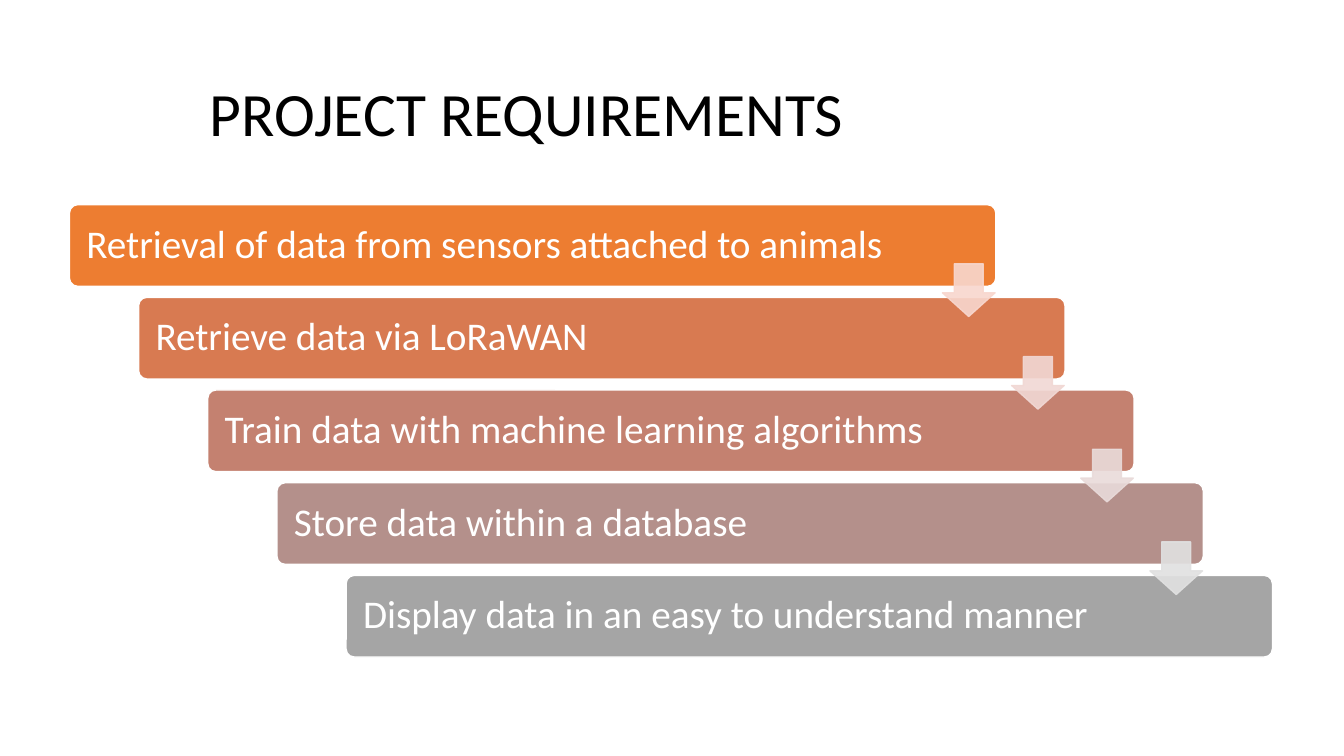
"""Build the project requirements slide: a staircase of steps joined by arrows."""
import pptx
import pptx.dml.color
import pptx.enum.shapes
import pptx.enum.text
import pptx.oxml
import pptx.oxml.ns
import pptx.util

Pt = pptx.util.Pt
RGB = pptx.dml.color.RGBColor
Kind = pptx.enum.shapes.MSO_SHAPE
Text = pptx.enum.text

BLACK = RGB(0x00, 0x00, 0x00)
WHITE = RGB(0xFF, 0xFF, 0xFF)
ORANGE = RGB(0xED, 0x7D, 0x31)
RUST = RGB(0xD8, 0x7A, 0x51)
ROSE = RGB(0xC4, 0x81, 0x70)
MAUVE = RGB(0xB4, 0x90, 0x8B)
GRAY = RGB(0xA5, 0xA5, 0xA5)
PEACH = RGB(0xF8, 0xD7, 0xCE)
BLUSH = RGB(0xF1, 0xD8, 0xD4)
SHELL = RGB(0xE9, 0xDB, 0xDA)
SILVER = RGB(0xE1, 0xE1, 0xE1)

STEPS = [
    ("Retrieval of data from sensors attached to animals", ORANGE),
    ("Retrieve data via LoRaWAN", RUST),
    ("Train data with machine learning algorithms", ROSE),
    ("Store data within a database", MAUVE),
    ("Display data in an easy to understand manner", GRAY),
]
ARROWS = [PEACH, BLUSH, SHELL, SILVER]
SHIFT, DROP = 49.4, 66.2


def apply(item, values):
    for name, value in values.items():
        setattr(item, name, value)


class Deck:
    font = "Calibri"
    frame = {
        "word_wrap": True,
        "auto_size": Text.MSO_AUTO_SIZE.NONE,
        "vertical_anchor": Text.MSO_ANCHOR.MIDDLE,
    }
    para = {"alignment": Text.PP_ALIGN.LEFT, "line_spacing": 0.9}

    def __init__(self, wide, high):
        self.file = pptx.Presentation()
        apply(self.file, {"slide_width": Pt(wide), "slide_height": Pt(high)})
        self.slide = self.file.slides.add_slide(self.file.slide_layouts[5])

    def label(self, shape, words, size, color, inset):
        frame = shape.text_frame
        frame.text = words
        apply(frame, self.frame)
        apply(frame, {"margin_left": Pt(inset), "margin_right": Pt(inset)})
        line = frame.paragraphs[0]
        apply(line, self.para)
        apply(line.font, {"name": self.font, "size": Pt(size), "bold": False})
        line.font.color.rgb = color

    def title(self, words, left, top, wide, high):
        shape = self.slide.shapes.title
        apply(shape, {"left": Pt(left), "top": Pt(top),
                      "width": Pt(wide), "height": Pt(high)})
        self.label(shape, words, 44, BLACK, 7.2)

    def block(self, kind, box, fill, edge, bends):
        shape = self.slide.shapes.add_shape(kind, *map(Pt, box))
        shape.shadow.inherit = False
        shape.fill.solid()
        shape.fill.fore_color.rgb = fill
        shape.line.color.rgb = edge
        shape.line.width = Pt(1)
        for i, bend in enumerate(bends):
            shape.adjustments[i] = bend
        return shape

    def bar(self, words, left, top, fill):
        box = (left, top, 661.7, 58.3)
        shape = self.block(Kind.ROUNDED_RECTANGLE, box, fill, WHITE, [0.1])
        self.label(shape, words, 28, WHITE, 10.4)

    def arrow(self, left, top, fill):
        box = (left, top, 37.6, 37.6)
        shape = self.block(Kind.DOWN_ARROW, box, fill, fill, [0.55, 0.45])
        for color in shape.element.spPr.iter(pptx.oxml.ns.qn("a:srgbClr")):
            alpha = pptx.oxml.parse_xml(
                f'<a:alpha {pptx.oxml.ns.nsdecls("a")} val="90000"/>')
            color.append(alpha)


def main():
    deck = Deck(960, 540)
    deck.title("PROJECT REQUIREMENTS", 142.6, 41, 778.3, 84.2)
    for i, (words, fill) in enumerate(STEPS):
        deck.bar(words, 49.6 + i * SHIFT, 146.2 + i * DROP, fill)
    for i, fill in enumerate(ARROWS):
        deck.arrow(673.2 + i * SHIFT, 188.5 + i * DROP, fill)
    deck.file.save("out.pptx")


if __name__ == "__main__":
    main()
